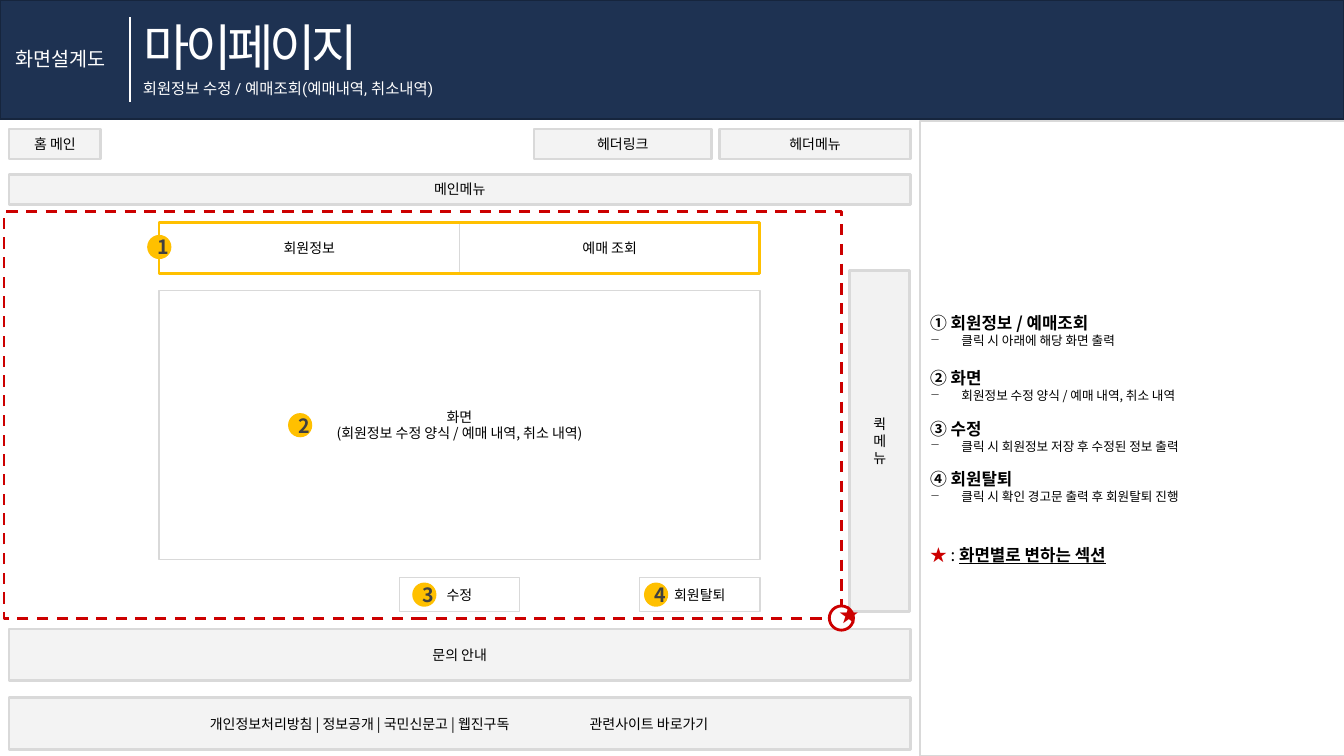
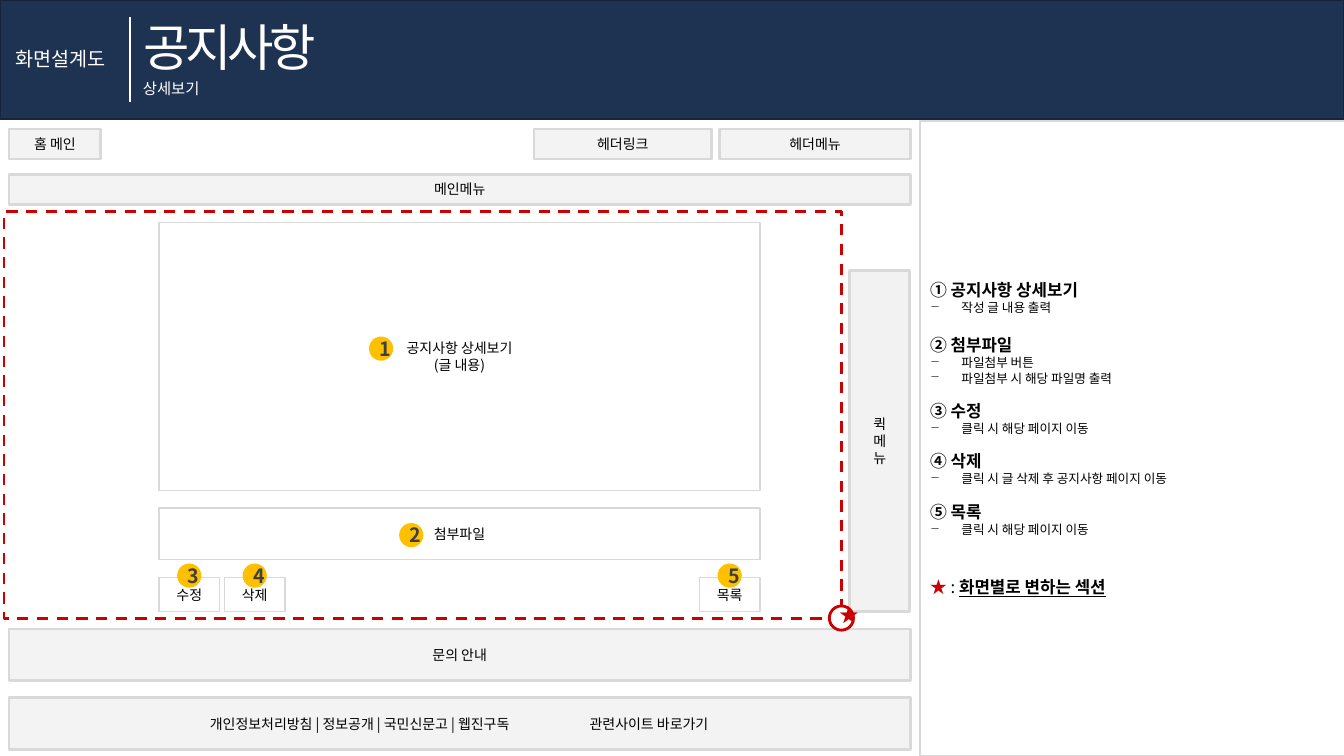
from dataclasses import dataclass

import pptx
import pptx.dml.color
import pptx.enum.dml
import pptx.enum.shapes
import pptx.enum.text
import pptx.oxml.ns
import pptx.util
from lxml import etree

Cm = pptx.util.Cm
Pt = pptx.util.Pt
RGBColor = pptx.dml.color.RGBColor
SHAPE = pptx.enum.shapes.MSO_SHAPE
ALIGN = pptx.enum.text.PP_ALIGN
ANCHOR = pptx.enum.text.MSO_ANCHOR
qn = pptx.oxml.ns.qn

NAVY = RGBColor(0x1E, 0x32, 0x52)
NAVY_EDGE = RGBColor(0x16, 0x25, 0x3D)
WHITE = RGBColor(0xFF, 0xFF, 0xFF)
BLACK = RGBColor(0, 0, 0)
LIGHT_GRAY = RGBColor(0xD9, 0xD9, 0xD9)
MID_GRAY = RGBColor(0xBF, 0xBF, 0xBF)
DARK_GRAY = RGBColor(0x40, 0x40, 0x40)
RED = RGBColor(0xCC, 0, 0)
AMBER = RGBColor(0xFF, 0xC0, 0)

KOREAN_FONT = "Noto Sans CJK KR"
LATIN_FONT = "Roboto"
LINE_HEIGHT = 1.2
BADGE_SIZE = 0.61
BUTTON_HEIGHT = 0.86
BAR_HEIGHT = 1.3
NOTE_INDENT = 0.79


@dataclass
class Box:
    """A rectangle in centimetres."""
    left: float
    top: float
    width: float
    height: float

    def inner(self, left, top, width, height):
        return Box(self.left + left, self.top + top, width, height)

    def lengths(self):
        return Cm(self.left), Cm(self.top), Cm(self.width), Cm(self.height)


HEADER = Box(0, 0, 33.87, 3)
WIREFRAME = Box(0.23, 3.25, 22.71, 15.63)
CONTENT = Box(4.01, 5.6, 15.14, 9.81)
NOTES = Box(23.19, 3.05, 10.72, 16)


def style_font(font, size, color, bold=False, name=KOREAN_FONT):
    font.name = name
    font.size = Pt(size)
    font.bold = bold
    font.color.rgb = color
    etree.SubElement(font._element, qn("a:ea"), typeface=KOREAN_FONT)


def style_paragraph(paragraph, size, color, align=ALIGN.LEFT, **font_options):
    paragraph.alignment = align
    paragraph.line_spacing = Pt(size * LINE_HEIGHT)
    style_font(paragraph.font, size, color, **font_options)


def write(shape, text, size, color, align=ALIGN.CENTER, **font_options):
    shape.text_frame.text = text
    for paragraph in shape.text_frame.paragraphs:
        style_paragraph(paragraph, size, color, align, **font_options)


def add_box(slide, box, fill=None, line=None, width=1, opacity=None, kind=SHAPE.RECTANGLE):
    shape = slide.shapes.add_shape(kind, *box.lengths())
    shape.shadow.inherit = False
    if fill is None:
        shape.fill.background()
    else:
        shape.fill.solid()
        shape.fill.fore_color.rgb = fill
        if opacity is not None:
            color = shape._element.spPr.find(qn("a:solidFill"))[0]
            etree.SubElement(color, qn("a:alpha"), val=str(opacity * 1000))
    if line is None:
        shape.line.fill.background()
    else:
        shape.line.color.rgb = line
        shape.line.width = Pt(width)
    return shape


def add_label(slide, box, text, size, color, align=ALIGN.LEFT, **font_options):
    label = slide.shapes.add_textbox(*box.lengths())
    label.text_frame.word_wrap = True
    write(label, text, size, color, align, **font_options)


def add_bar(slide, box, text, fill=LIGHT_GRAY, opacity=30):
    """Add a translucent gray block of the site frame."""
    bar = add_box(slide, box, fill, LIGHT_GRAY, 2, opacity)
    write(bar, text, 10, BLACK)
    return bar


def add_panel(slide, box, text):
    """Add a white block of the page content."""
    write(add_box(slide, box, WHITE, LIGHT_GRAY), text, 10, BLACK)


def add_badges(slide, box, positions):
    for number, (left, top) in enumerate(positions, 1):
        badge_box = box.inner(left, top, BADGE_SIZE, BADGE_SIZE)
        badge = add_box(slide, badge_box, AMBER, kind=SHAPE.OVAL)
        write(badge, str(number), 14, DARK_GRAY, bold=True)


def add_header(slide, box, title_text, subtitle):
    band = add_box(slide, box, NAVY, NAVY_EDGE)

    title = slide.shapes.title
    band._element.addnext(title._element)
    title.left, title.top, title.width, title.height = box.inner(3.35, 0.28, 20, 1.8).lengths()
    frame = title.text_frame
    frame.auto_size = pptx.enum.text.MSO_AUTO_SIZE.NONE
    frame.vertical_anchor = ANCHOR.TOP
    write(title, title_text, 36, WHITE, ALIGN.LEFT)
    frame.paragraphs[0].font._element.set("spc", "-300")

    add_label(slide, box.inner(0.13, 1.07, 3, 0.86), "화면설계도", 14, WHITE)
    add_label(slide, box.inner(3.35, 1.88, 8.46, 0.74), subtitle, 11, WHITE, name=LATIN_FONT)

    x = Cm(box.left + 3.28)
    divider = slide.shapes.add_connector(
        pptx.enum.shapes.MSO_CONNECTOR.STRAIGHT, x, Cm(box.top + 0.43), x, Cm(box.top + 2.57))
    divider.line.color.rgb = WHITE
    divider.line.width = Pt(1.5)
    etree.SubElement(divider._element.spPr, qn("a:effectLst"))


def add_site_frame(slide, box):
    """Add the menus and footers that every page of the site has."""
    add_bar(slide, box.inner(0, 0, 2.31, 0.76), "홈 메인")
    add_bar(slide, box.inner(13.23, 0, 4.47, 0.76), "헤더링크")
    add_bar(slide, box.inner(17.91, 0, 4.8, 0.76), "헤더메뉴")
    add_bar(slide, box.inner(0, 1.14, box.width, 0.76), "메인메뉴")
    add_bar(slide, box.inner(21.18, 3.56, 1.52, 8.61), "퀵\n메\n뉴", MID_GRAY, 20)
    add_bar(slide, box.inner(0, 12.6, box.width, BAR_HEIGHT), "문의 안내")

    footer = add_bar(slide, box.inner(0, 14.33, box.width, BAR_HEIGHT), "")
    paragraph = footer.text_frame.paragraphs[0]
    paragraph.text = "\t개인정보처리방침 | 정보공개 | 국민신문고 | 웹진구독\t관련사이트 바로가기"
    properties = paragraph._p.get_or_add_pPr()
    for old in properties.findall(qn("a:defRPr")):
        properties.remove(old)
    stops = etree.SubElement(properties, qn("a:tabLst"))
    for position in (4.81, 14.38):
        etree.SubElement(stops, qn("a:tab"), pos=str(Cm(position)), algn="l")
    style_paragraph(paragraph, 10, BLACK)


def add_changing_section(slide, box):
    """Add the dashed outline with its star at the lower right corner."""
    outline = add_box(slide, box.inner(-0.13, 2.08, 21.11, 10.26), line=RED, width=2)
    outline.line.dash_style = pptx.enum.dml.MSO_LINE.DASH
    add_box(slide, box.inner(20.67, 12.02, 0.61, 0.61), WHITE, RED, 2, kind=SHAPE.OVAL)
    add_label(slide, box.inner(20.67, 11.81, 0.61, 0.86), "★", 14, RED, ALIGN.CENTER)


def add_notes(slide, box, notes):
    panel = add_box(slide, box, WHITE, LIGHT_GRAY)
    frame = panel.text_frame
    paragraph = frame.paragraphs[0]
    for index, (heading, details) in enumerate(notes):
        if index:
            paragraph = frame.add_paragraph()
            paragraph.space_before = Pt(14.4 if index == 1 else 10.8)
        paragraph.text = heading
        style_paragraph(paragraph, 12, BLACK, bold=True)
        for detail in details:
            paragraph = frame.add_paragraph()
            paragraph.text = detail
            properties = paragraph._p.get_or_add_pPr()
            properties.set("marL", str(Cm(NOTE_INDENT)))
            properties.set("indent", str(-Cm(NOTE_INDENT)))
            etree.SubElement(properties, qn("a:buChar"), char="−")
            style_paragraph(paragraph, 9, BLACK)

    legend = frame.add_paragraph()
    legend.alignment = ALIGN.LEFT
    legend.line_spacing = Pt(12 * LINE_HEIGHT)
    legend.space_before = Pt(28.8)
    for text, color, bold in (("★ ", RED, True), (": ", BLACK, False),
                              ("화면별로 변하는 섹션", BLACK, True)):
        run = legend.add_run()
        run.text = text
        style_font(run.font, 12, color, bold)
    run.font.underline = True


def add_my_page(slide, box):
    half = box.width / 2
    add_panel(slide, box.inner(0, 0, half, BAR_HEIGHT), "회원정보")
    add_panel(slide, box.inner(half, 0, half, BAR_HEIGHT), "예매 조회")
    add_panel(slide, box.inner(0, 1.72, box.width, 6.78),
              "화면\n(회원정보 수정 양식 / 예매 내역, 취소 내역)")
    button_top = box.height - BUTTON_HEIGHT
    button_width = box.width / 5
    for column, text in ((2, "수정"), (4, "회원탈퇴")):
        add_panel(slide, box.inner(column * button_width, button_top, button_width,
                                   BUTTON_HEIGHT), text)
    add_box(slide, box.inner(0, 0, box.width, BAR_HEIGHT), line=AMBER, width=2)
    add_badges(slide, box, [(-0.3, 0.32), (3.25, 4.81), (6.38, 9.08), (12.22, 9.08)])


def add_notice_page(slide, box):
    add_panel(slide, box.inner(0, 0, box.width, 6.76), "공지사항 상세보기\n(글 내용)")
    add_panel(slide, box.inner(0, 7.2, box.width, BAR_HEIGHT), "첨부파일")
    button_top = box.height - BUTTON_HEIGHT
    button_width = 1.52
    badges = [(5.29, 2.88), (6.05, 7.58)]
    for left, text in ((0, "수정"), (1.65, "삭제"), (box.width - button_width, "목록")):
        add_panel(slide, box.inner(left, button_top, button_width, BUTTON_HEIGHT), text)
        badges.append((left + (button_width - BADGE_SIZE) / 2, button_top - 0.35))
    add_badges(slide, box, badges)


def add_screen(presentation, title, subtitle, add_content, notes):
    slide = presentation.slides.add_slide(presentation.slide_layouts[5])
    add_header(slide, HEADER, title, subtitle)
    add_site_frame(slide, WIREFRAME)
    add_changing_section(slide, WIREFRAME)
    add_content(slide, CONTENT)
    add_notes(slide, NOTES, notes)


def main():
    presentation = pptx.Presentation()
    presentation.slide_width = Cm(33.87)
    presentation.slide_height = Cm(19.05)
    add_screen(presentation, "마이페이지", "회원정보 수정 / 예매조회(예매내역, 취소내역)", add_my_page, [
        ("① 회원정보 / 예매조회", ["클릭 시 아래에 해당 화면 출력"]),
        ("② 화면", ["회원정보 수정 양식 / 예매 내역, 취소 내역"]),
        ("③ 수정", ["클릭 시 회원정보 저장 후 수정된 정보 출력"]),
        ("④ 회원탈퇴", ["클릭 시 확인 경고문 출력 후 회원탈퇴 진행"]),
    ])
    add_screen(presentation, "공지사항", "상세보기", add_notice_page, [
        ("① 공지사항 상세보기", ["작성 글 내용 출력"]),
        ("② 첨부파일", ["파일첨부 버튼", "파일첨부 시 해당 파일명 출력"]),
        ("③ 수정", ["클릭 시 해당 페이지 이동"]),
        ("④ 삭제", ["클릭 시 글 삭제 후 공지사항 페이지 이동"]),
        ("⑤ 목록", ["클릭 시 해당 페이지 이동"]),
    ])
    presentation.save("out.pptx")


if __name__ == "__main__":
    main()
